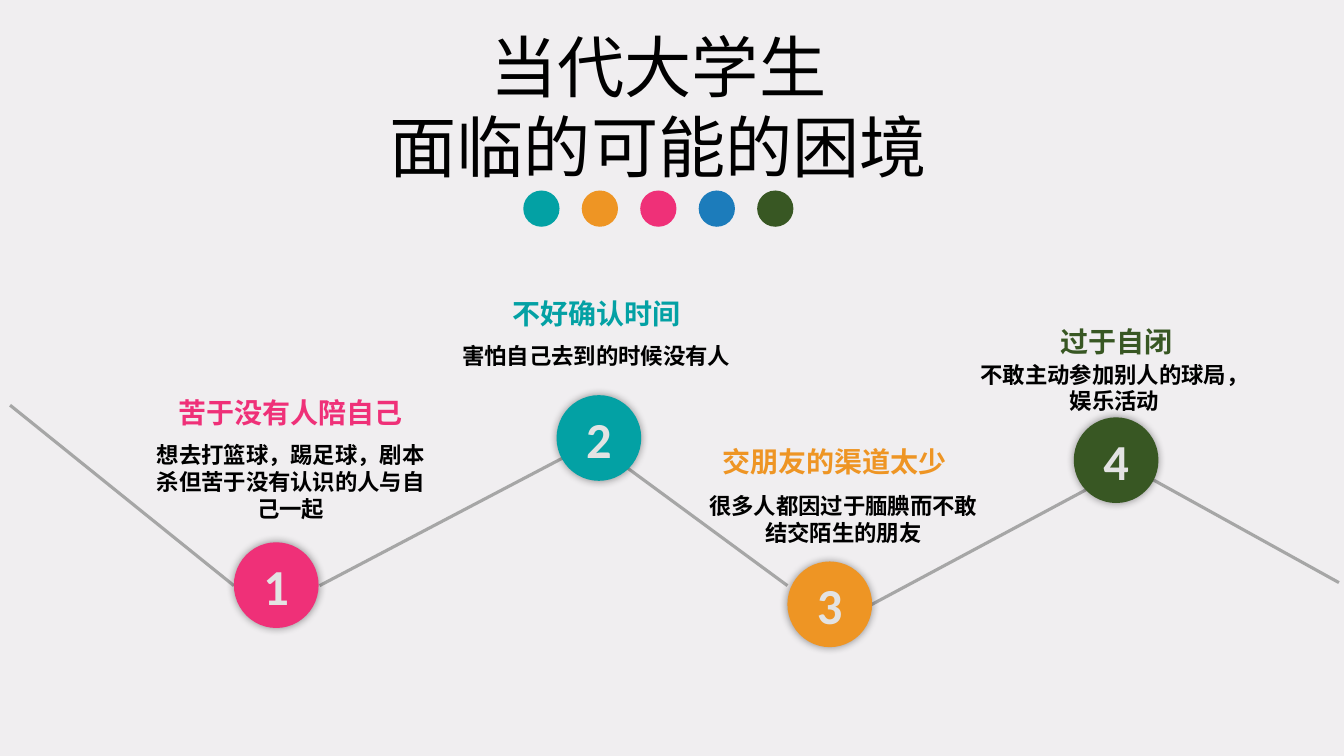
from lxml.etree import SubElement
from pptx import Presentation
from pptx.dml.color import RGBColor
from pptx.enum.shapes import MSO_CONNECTOR, MSO_SHAPE
from pptx.enum.text import MSO_ANCHOR, PP_ALIGN
from pptx.oxml import parse_xml
from pptx.oxml.ns import nsdecls, qn
from pptx.util import Inches, Pt

WIDE, HIGH = 13.33, 7.5
SANS, LATIN = "Noto Sans CJK SC", "Calibri"
TEAL, GOLD, PINK, BLUE, GREEN = "03A1A4", "EE9524", "EF3078", "1C7CBB", "385723"
BALL = (0.84, 0.85)

STEPS = [
    (PINK, (2.32, 5.38), (1.37, 3.87), (1.37, 4.33), 0.64, SANS,
     "苦于没有人陪自己", "想去打篮球，踢足球，剧本杀但苦于没有认识的人与自己一起"),
    (TEAL, (5.52, 3.92), (4.4, 2.89), (4.4, 3.35), 0.37, SANS,
     "不好确认时间", "害怕自己去到的时候没有人"),
    (GOLD, (7.81, 5.57), (6.76, 4.36), (6.85, 4.83), 0.64, LATIN,
     "交朋友的渠道太少", "很多人都因过于腼腆而不敢结交陌生的朋友"),
    (GREEN, (10.65, 4.14), (9.56, 3.17), (9.54, 3.53), 0.64, LATIN,
     "过于自闭", "不敢主动参加别人的球局，娱乐活动"),
]
PATHS = [
    ((2.32, 5.81), (0.1, 4.02)),
    ((8.64, 6), (10.77, 4.86)),
    ((13.28, 5.78), (11.31, 4.69)),
    ((7.81, 5.81), (6.07, 4.53)),
    ((3.17, 5.81), (5.76, 4.45)),
]


def paint(target, tone):
    target.rgb = RGBColor.from_string(tone)


def inches(*nums):
    return [Inches(num) for num in nums]


def write(frame, lines, size, font, tone, bold=False):
    for num, line in enumerate(lines):
        para = frame.add_paragraph() if num else frame.paragraphs[0]
        para.text = line
        para.alignment = PP_ALIGN.CENTER
        para.font.size = Pt(size)
        para.font.name = font
        para.font.bold = bold
        paint(para.font.color, tone)


def label(slide, box, lines, size, font, tone, bold=False):
    frame = slide.shapes.add_textbox(*inches(*box)).text_frame
    frame.word_wrap = True
    write(frame, lines, size, font, tone, bold)


def disc(slide, box, tone):
    shape = slide.shapes.add_shape(MSO_SHAPE.OVAL, *inches(*box))
    shape.shadow.inherit = False
    shape.fill.solid()
    paint(shape.fill.fore_color, tone)
    shape.line.fill.background()
    return shape


def glow(shape):
    effect = shape._element.spPr.find(qn("a:effectLst"))
    effect.append(parse_xml(
        f'<a:outerShdw {nsdecls("a")} blurRad="{Pt(6)}" dist="0" dir="0" '
        'algn="ctr" rotWithShape="0"><a:srgbClr val="000000">'
        '<a:alpha val="40000"/></a:srgbClr></a:outerShdw>'))


def header(slide, box):
    left, top, width, height = box
    label(slide, box, ["当代大学生", "面临的可能的困境"], 48, SANS, "000000")
    size, pitch = 0.36, 0.58
    start = left + width / 2 - 2 * pitch - size / 2
    for num, tone in enumerate([TEAL, GOLD, PINK, BLUE, GREEN]):
        disc(slide, (start + num * pitch, top + height - 0.03, size, size), tone)


def trail(slide):
    for start, end in PATHS:
        line = slide.shapes.add_connector(
            MSO_CONNECTOR.STRAIGHT, *inches(*start, *end))
        paint(line.line.color, "A6A6A6")
        line.line.width = Pt(2.25)
        SubElement(line._element.spPr, qn("a:effectLst"))


def step(slide, num, tone, spot, head, body, height, font, title, text):
    ball = disc(slide, (*spot, *BALL), tone)
    glow(ball)
    frame = ball.text_frame
    frame.margin_left = frame.margin_right = 0
    frame.margin_top = frame.margin_bottom = 0
    frame.word_wrap = False
    frame.vertical_anchor = MSO_ANCHOR.MIDDLE
    write(frame, [str(num)], 36, LATIN, "E3E3E3", True)
    label(slide, (*head, 3.03, 0.44), [title], 20, SANS, tone, True)
    label(slide, (*body, 3.03, height), [text], 16, font, "000000", True)


def main():
    deck = Presentation()
    deck.slide_width, deck.slide_height = inches(WIDE, HIGH)
    slide = deck.slides.add_slide(deck.slide_layouts[6])
    slide.background.fill.solid()
    paint(slide.background.fill.fore_color, "F0EEF0")
    trail(slide)
    header(slide, (2.09, 0.2, 8.88, 1.72))
    for num, part in enumerate(STEPS, 1):
        step(slide, num, *part)
    deck.save("out.pptx")


if __name__ == "__main__":
    main()
